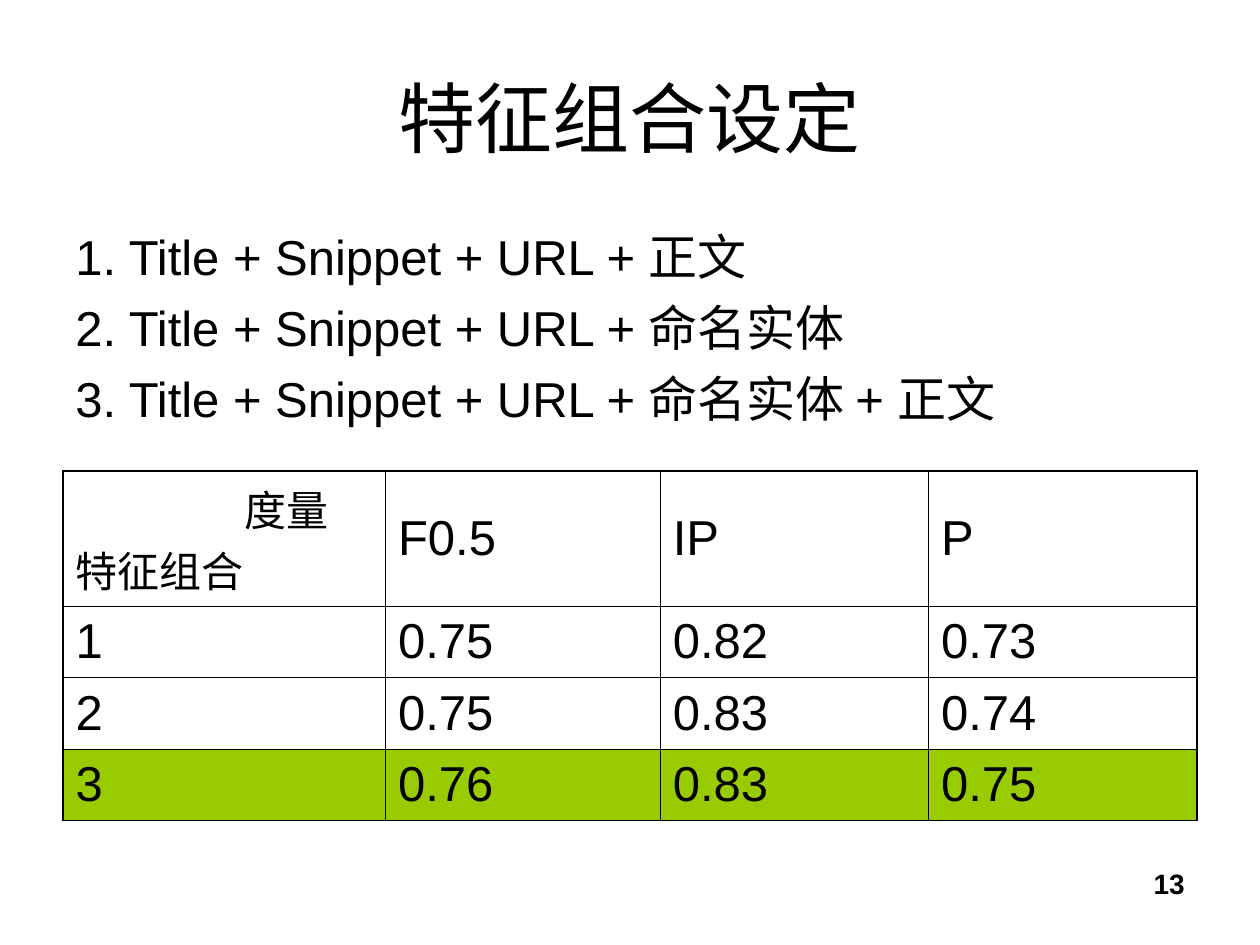
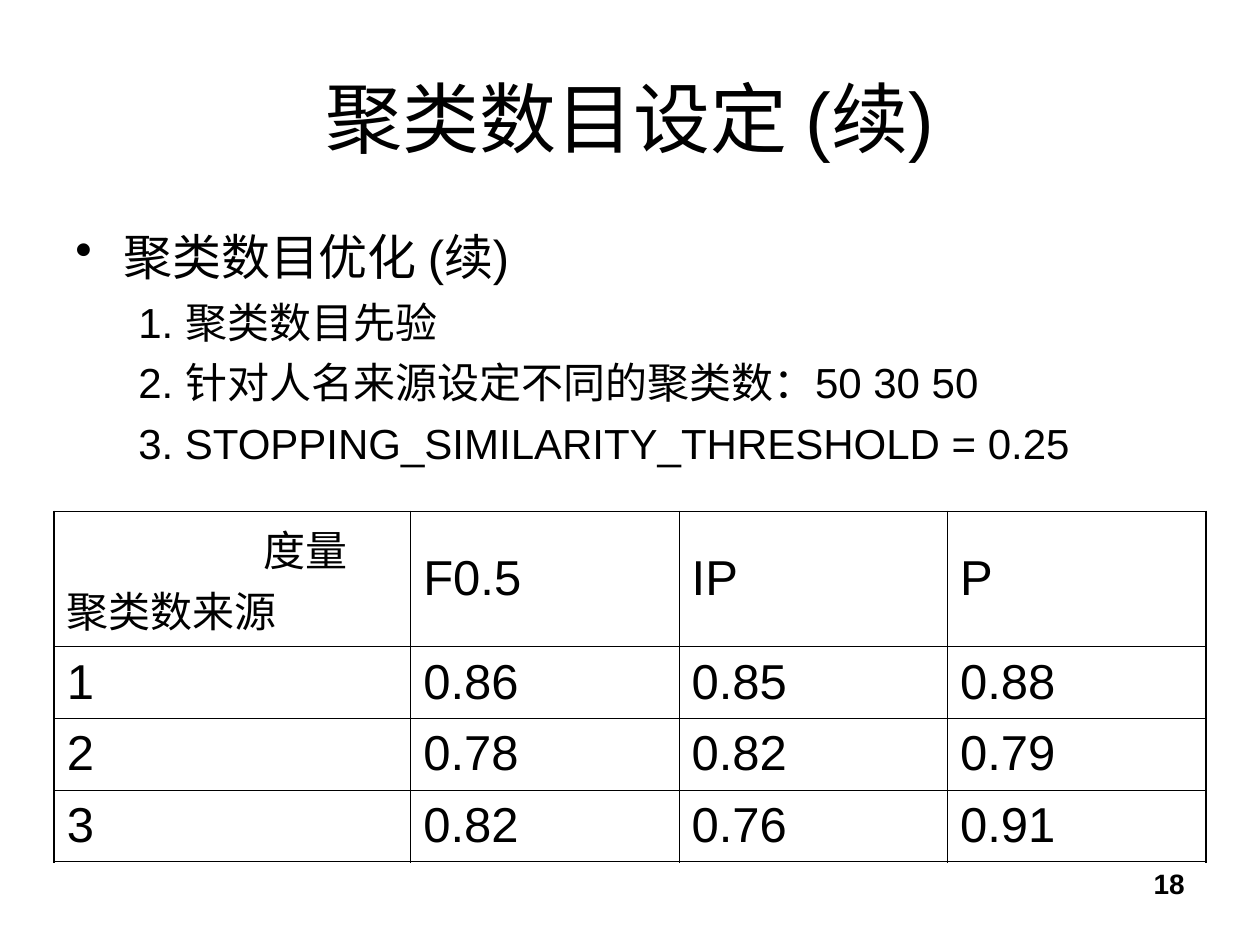
from dataclasses import dataclass

from lxml import etree
from pptx import Presentation
from pptx.dml.color import RGBColor
from pptx.enum.text import MSO_ANCHOR, PP_ALIGN
from pptx.oxml.ns import qn
from pptx.slide import Slide
from pptx.util import Inches, Pt

MIDDLE = MSO_ANCHOR.MIDDLE
CENTER, RIGHT = PP_ALIGN.CENTER, PP_ALIGN.RIGHT
FONT = "Arial"
BLACK = "000000"
HIGHLIGHT = "99CC00"
OUTER_BORDER, INNER_BORDER = 1.08, 0.45
MEASURES = ["F0.5", "IP", "P"]
TITLE_ONLY = 5


@dataclass
class Line:
    text: str
    size: int = 28
    level: int = 0
    margin: float = 0.38
    hanging: float = -0.38
    space_before: int = 7
    bullet: str = ""


@dataclass
class ScoreTable:
    left: float
    top: float
    columns: list[float]
    row_height: float
    corner_label: str
    corner_indent: float
    scores: list[list[str]]
    highlighted_row: int | None = None
    header_height: float = 1.07


@dataclass
class ResultSlide:
    number: str
    title: str
    lines: list[Line]
    table: ScoreTable


def sub_line(text: str) -> Line:
    return Line(text, 24, 1, 0.81, -0.31, 6)


RESULTS = [
    ResultSlide(
        "13",
        "特征组合设定",
        [
            Line("1. Title + Snippet + URL + 正文"),
            Line("2. Title + Snippet + URL + 命名实体"),
            Line("3. Title + Snippet + URL + 命名实体 + 正文"),
        ],
        ScoreTable(
            0.5, 3.74, [2.56, 2.18, 2.13, 2.13], 0.54, "特征组合", 1.34,
            [["0.75", "0.82", "0.73"], ["0.75", "0.83", "0.74"], ["0.76", "0.83", "0.75"]],
            highlighted_row=3,
        ),
    ),
    ResultSlide(
        "18",
        "聚类数目设定 (续)",
        [
            Line("聚类数目优化 (续)", bullet="•"),
            sub_line("1. 聚类数目先验"),
            sub_line("2. 针对人名来源设定不同的聚类数：50 30 50"),
            sub_line("3. STOPPING_SIMILARITY_THRESHOLD = 0.25"),
        ],
        ScoreTable(
            0.43, 4.06, [2.83, 2.13, 2.13, 2.05], 0.57, "聚类数来源", 1.56,
            [["0.86", "0.85", "0.88"], ["0.78", "0.82", "0.79"], ["0.82", "0.76", "0.91"]],
        ),
    ),
]


def color(value: str) -> RGBColor:
    return RGBColor.from_string(value)


def apply(target, formats: dict) -> None:
    for name, value in formats.items():
        setattr(target, name, value)


def add_text(paragraph, text: str, size: int, bold: bool = False) -> None:
    run = paragraph.add_run()
    run.text = text
    apply(run.font, {"name": FONT, "size": Pt(size), "bold": bold})
    run.font.color.rgb = color(BLACK)


def set_indent(paragraph, margin: float, first_line: float) -> None:
    properties = paragraph._p.get_or_add_pPr()
    properties.set("marL", str(Inches(margin)))
    properties.set("indent", str(Inches(first_line)))


def add_text_box(slide: Slide, left: float, top: float, width: float, height: float):
    shape = slide.shapes.add_textbox(*map(Inches, (left, top, width, height)))
    shape.text_frame.word_wrap = True
    return shape.text_frame


def add_title(slide: Slide, text: str) -> None:
    title = slide.shapes.title
    apply(title, {"left": Inches(0.5), "top": Inches(0.3),
                  "width": Inches(9), "height": Inches(1.25)})
    title.text_frame.vertical_anchor = MIDDLE
    paragraph = title.text_frame.paragraphs[0]
    paragraph.alignment = CENTER
    add_text(paragraph, text, 44)


def add_lines(slide: Slide, lines: list[Line]) -> None:
    frame = add_text_box(slide, 0.5, 1.75, 9, 2.39)
    for index, line in enumerate(lines):
        paragraph = frame.add_paragraph() if index else frame.paragraphs[0]
        paragraph.level = line.level
        paragraph.space_before = Pt(line.space_before if index else 0)
        set_indent(paragraph, line.margin, line.hanging)
        if line.bullet:
            bullet = etree.SubElement(paragraph._p.get_or_add_pPr(), qn("a:buChar"))
            bullet.set("char", line.bullet)
        add_text(paragraph, line.text, line.size)


def add_page_number(slide: Slide, number: str) -> None:
    paragraph = add_text_box(slide, 7.17, 6.83, 2.33, 0.52).paragraphs[0]
    paragraph.alignment = RIGHT
    add_text(paragraph, number, 16, bold=True)


def set_borders(cell, outer_sides: dict[str, bool]) -> None:
    properties = cell._tc.get_or_add_tcPr()
    for side, is_outer in outer_sides.items():
        border = etree.SubElement(properties, qn(f"a:ln{side}"))
        border.set("w", str(Pt(OUTER_BORDER if is_outer else INNER_BORDER)))
        fill = etree.SubElement(border, qn("a:solidFill"))
        etree.SubElement(fill, qn("a:srgbClr")).set("val", BLACK)


def add_score_table(slide: Slide, data: ScoreTable) -> None:
    rows = [["", *MEASURES]]
    rows += [[str(number), *scores] for number, scores in enumerate(data.scores, 1)]
    heights = [data.header_height] + [data.row_height] * len(data.scores)
    last_row, last_column = len(rows) - 1, len(data.columns) - 1
    table = slide.shapes.add_table(
        len(rows), len(data.columns), Inches(data.left), Inches(data.top),
        Inches(sum(data.columns)), Inches(sum(heights)),
    ).table
    apply(table, {"first_row": False, "horz_banding": False})
    for column, width in zip(table.columns, data.columns):
        column.width = Inches(width)
    for row, height in zip(table.rows, heights):
        row.height = Inches(height)

    for row_index, texts in enumerate(rows):
        for column_index, text in enumerate(texts):
            cell = table.cell(row_index, column_index)
            cell.vertical_anchor = MIDDLE
            set_borders(cell, {"L": column_index == 0, "R": column_index == last_column,
                               "T": row_index == 0, "B": row_index == last_row})
            if row_index == data.highlighted_row:
                cell.fill.solid()
                cell.fill.fore_color.rgb = color(HIGHLIGHT)
            else:
                cell.fill.background()
            if text:
                add_text(cell.text_frame.paragraphs[0], text, 28)

    corner = table.cell(0, 0).text_frame.paragraphs[0]
    set_indent(corner, 0, data.corner_indent)
    add_text(corner, "度量", 24)
    corner.add_line_break()
    add_text(corner, data.corner_label, 24)


def main() -> None:
    presentation = Presentation()
    apply(presentation, {"slide_width": Inches(10), "slide_height": Inches(7.5)})
    for result in RESULTS:
        slide = presentation.slides.add_slide(presentation.slide_layouts[TITLE_ONLY])
        add_page_number(slide, result.number)
        add_title(slide, result.title)
        add_lines(slide, result.lines)
        add_score_table(slide, result.table)
    presentation.save("out.pptx")


if __name__ == "__main__":
    main()
